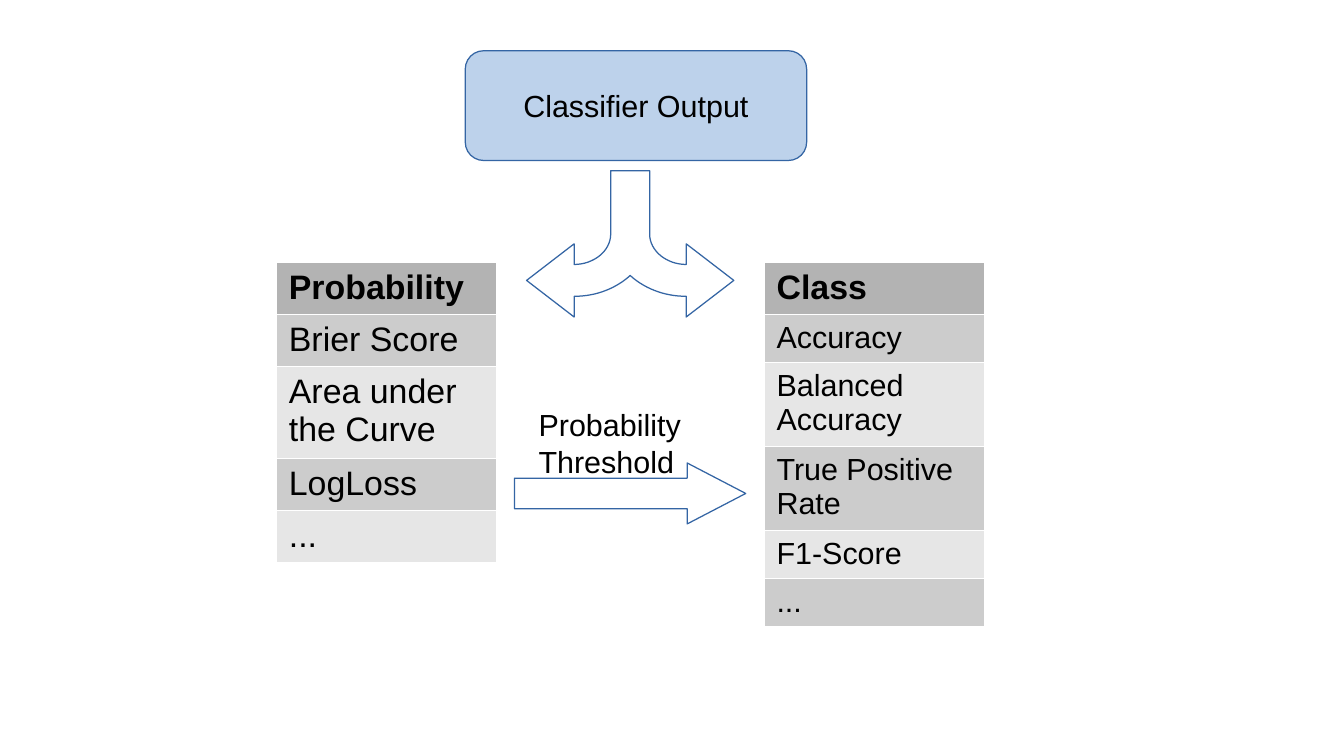
from dataclasses import dataclass

from lxml import etree
from pptx import Presentation
from pptx.dml.color import RGBColor
from pptx.enum.shapes import MSO_SHAPE
from pptx.enum.text import MSO_ANCHOR, PP_ALIGN
from pptx.oxml.ns import qn
from pptx.util import Pt

ROUND = MSO_SHAPE.FLOWCHART_ALTERNATE_PROCESS
ARROW = MSO_SHAPE.RIGHT_ARROW
MIDDLE = MSO_ANCHOR.MIDDLE
LEFT, CENTER = PP_ALIGN.LEFT, PP_ALIGN.CENTER


@dataclass(frozen=True)
class Theme:
    font: str = "Arial"
    ink: str = "000000"
    paper: str = "FFFFFF"
    edge: str = "3465A4"
    box: str = "7DA7D8"
    head: str = "B3B3B3"
    bands: tuple = ("CCCCCC", "E6E6E6")
    large: int = 20
    base: int = 18
    rule: float = 0.74


THEME = Theme()


def rgb(code):
    return RGBColor.from_string(code)


def write(frame, text, size=THEME.base, bold=False, align=LEFT):
    frame.word_wrap = True
    for i, line in enumerate(text.split("\n")):
        para = frame.paragraphs[0] if i == 0 else frame.add_paragraph()
        para.alignment = align
        run = para.add_run()
        run.text = line
        font = run.font
        font.name, font.size, font.bold = THEME.font, Pt(size), bold
        font.color.rgb = rgb(THEME.ink)


def style(shape, fill, alpha=None):
    shape.shadow.inherit = False
    shape.fill.solid()
    shape.fill.fore_color.rgb = rgb(fill)
    shape.line.color.rgb = rgb(THEME.edge)
    shape.line.width = Pt(THEME.rule)
    if alpha:
        color = shape.fill._xPr.find(".//" + qn("a:srgbClr"))
        etree.SubElement(color, qn("a:alpha"), val=str(alpha * 1000))


def add_box(slide, text, *area):
    box = slide.shapes.add_shape(ROUND, *map(Pt, area))
    style(box, THEME.box, 50)
    box.text_frame.vertical_anchor = MIDDLE
    write(box.text_frame, text, align=CENTER)


def add_arrow(slide, *area):
    arrow = slide.shapes.add_shape(ARROW, *map(Pt, area))
    arrow.adjustments[0] = 0.5
    arrow.adjustments[1] = 0.96
    style(arrow, THEME.paper)


def add_label(slide, text, *area):
    label = slide.shapes.add_textbox(*map(Pt, area))
    write(label.text_frame, text)


def curve(a, b, c, d, steps=16):
    points = []
    for i in range(steps + 1):
        t = i / steps
        u = 1 - t
        parts = (u ** 3, 3 * u * u * t, 3 * u * t * t, t ** 3)
        points.append(tuple(
            sum(k * p[axis] for k, p in zip(parts, (a, b, c, d)))
            for axis in (0, 1)))
    return points


def add_fork(slide, mid, top):
    half = [(11.5, 0)]
    half += curve((11.5, 37.4), (11.5, 47.5), (21.6, 55.4), (33.1, 55.4))
    half += [(33.1, 43.2), (61.2, 64.8), (33.1, 86.4)]
    half += curve((33.1, 74.2), (19.4, 74.2), (7.9, 69.1), (0, 61.9))
    left = [(-x, y) for x, y in half]
    points = [(Pt(mid + x), Pt(top + y)) for x, y in left + half[-2::-1]]
    path = slide.shapes.build_freeform(*points[0])
    path.add_line_segments(points[1:], close=True)
    style(path.convert_to_shape(), THEME.paper)


def add_edges(cell):
    props = cell._tc.get_or_add_tcPr()
    for side in "LRTB":
        line = etree.SubElement(props, qn("a:ln" + side), w=str(Pt(THEME.rule)))
        fill = etree.SubElement(line, qn("a:solidFill"))
        etree.SubElement(fill, qn("a:srgbClr"), val=THEME.paper)


def add_list(slide, left, top, width, title, items, size, heights):
    rows = [(title, 30.7)] + list(zip(items, heights))
    total = sum(high for _, high in rows)
    table = slide.shapes.add_table(
        len(rows), 1, Pt(left), Pt(top), Pt(width), Pt(total)).table
    table.horz_banding = False
    for i, (text, high) in enumerate(rows):
        table.rows[i].height = Pt(high)
        cell = table.cell(i, 0)
        cell.margin_left = cell.margin_right = Pt(7.2)
        cell.margin_top = cell.margin_bottom = Pt(3.6)
        add_edges(cell)
        cell.fill.solid()
        shade = THEME.bands[(i - 1) % 2] if i else THEME.head
        cell.fill.fore_color.rgb = rgb(shade)
        write(cell.text_frame, text, size if i else THEME.large, i == 0)


def main():
    deck = Presentation()
    deck.slide_width, deck.slide_height = Pt(793.7), Pt(446.4)
    slide = deck.slides.add_slide(deck.slide_layouts[6])
    add_list(slide, 163.4, 155, 130, "Probability",
             ("Brier Score", "Area under the Curve", "LogLoss", "..."),
             THEME.large, (30.7, 54.6, 30.7, 30.7))
    add_list(slide, 451.4, 155, 130, "Class",
             ("Accuracy", "Balanced\nAccuracy", "True Positive Rate",
              "F1-Score", "..."),
             THEME.base, (28.4, 49.6, 49.6, 28.4, 28.4))
    add_box(slide, "Classifier Output", 274.8, 30, 201.6, 64.8)
    add_fork(slide, 372.2, 100.8)
    add_arrow(slide, 303.8, 273.4, 136.6, 36)
    add_label(slide, "Probability\nThreshold", 311, 236.2, 112.3, 55.4)
    deck.save("out.pptx")


main()
